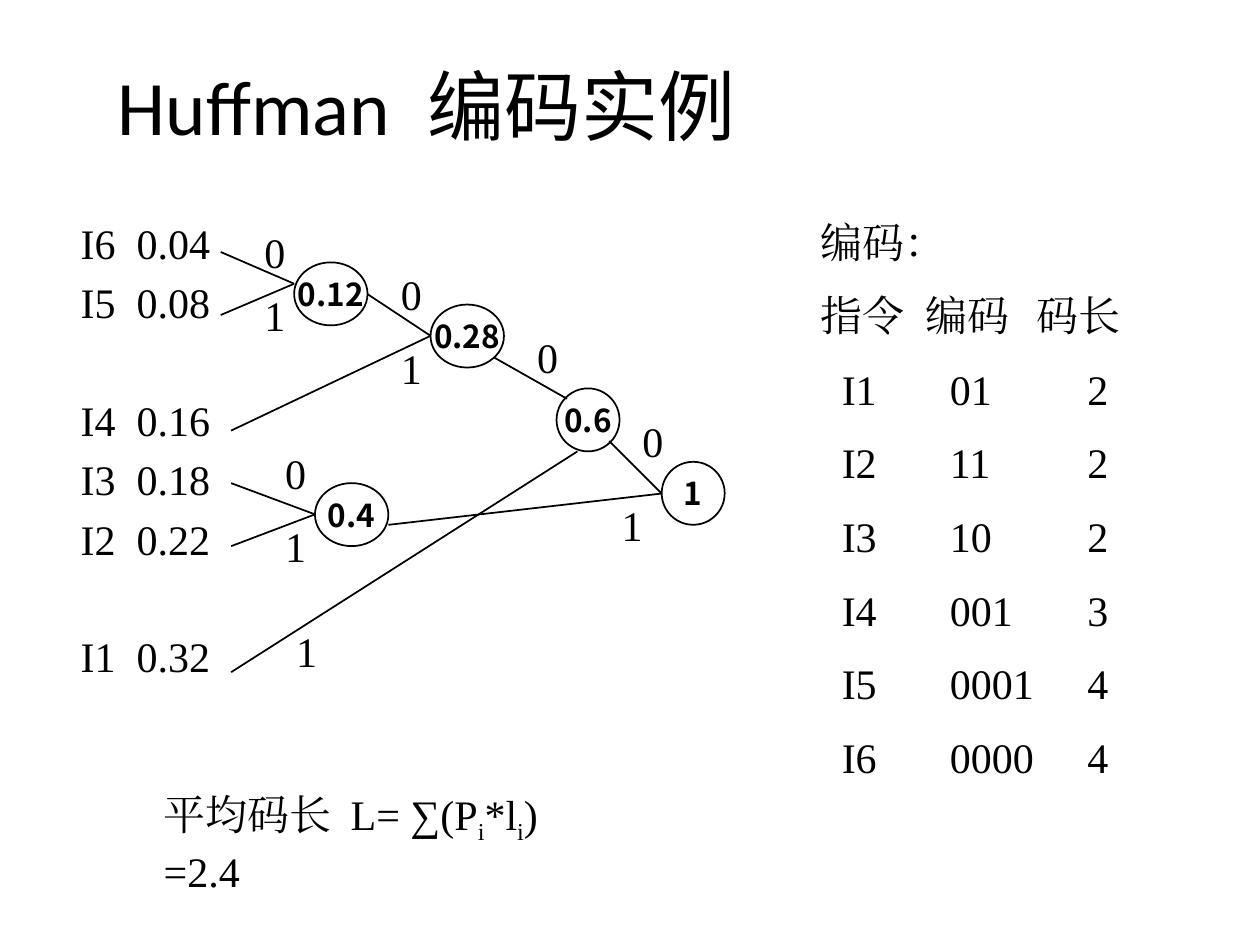
from lxml import etree
from pptx import Presentation
from pptx import util as u
from pptx.dml import color
from pptx.enum import shapes, text
from pptx.oxml import ns

INK = "000000"
SERIF = "Times New Roman"


def rgb(value):
    return color.RGBColor.from_string(value)


def write(paragraph, content, size=24, font=SERIF, bold=False, align=text.PP_ALIGN.LEFT,
          before=0, tabs=(), baseline=None):
    paragraph.alignment = align
    paragraph.space_before = u.Pt(before)
    if tabs:
        stops = etree.SubElement(paragraph._p.get_or_add_pPr(), ns.qn("a:tabLst"))
        for stop in tabs:
            etree.SubElement(stops, ns.qn("a:tab"), pos=str(u.Cm(stop)), algn="l")
    run = paragraph.add_run()
    run.text = content
    run.font.size = u.Pt(size)
    run.font.bold = bold
    run.font.color.rgb = rgb(INK)
    run.font.name = font
    properties = run._r.get_or_add_rPr()
    etree.SubElement(properties, ns.qn("a:ea"), typeface=font)
    if baseline:
        properties.set("baseline", str(baseline))


deck = Presentation()
deck.slide_width, deck.slide_height = u.Cm(25.4), u.Cm(19.05)
slide = deck.slides.add_slide(deck.slide_layouts[1])

title = slide.shapes.title
title.left, title.top, title.width, title.height = u.Cm(2.12), u.Cm(0.64), u.Cm(22.45), u.Cm(3.18)
title.text_frame.vertical_anchor = text.MSO_ANCHOR.MIDDLE
title.text_frame.auto_size = text.MSO_AUTO_SIZE.NONE
title.text_frame.paragraphs[0].line_spacing = 0.9
write(title.text_frame.paragraphs[0], "Huffman\t编码实例", size=44, font="Calibri", tabs=[6.25])

probabilities = slide.placeholders[1]
probabilities.left, probabilities.top = u.Cm(1.37), u.Cm(4.45)
probabilities.width, probabilities.height = u.Cm(3.48), u.Cm(9.95)
probabilities.text_frame.auto_size = text.MSO_AUTO_SIZE.NONE
leaves = [("I6", "0.04", 0), ("I5", "0.08", 11), ("I4", "0.16", 44),
          ("I3", "0.18", 11), ("I2", "0.22", 11), ("I1", "0.32", 44)]
for index, (name, probability, gap) in enumerate(leaves):
    frame = probabilities.text_frame
    leaf = frame.add_paragraph() if index else frame.paragraphs[0]
    leaf.line_spacing = 0.8
    layout = leaf._p.get_or_add_pPr()
    layout.set("marL", str(u.Cm(1.13)))
    layout.set("indent", str(u.Cm(-1.13)))
    etree.SubElement(layout, ns.qn("a:buNone"))
    write(leaf, f"{name}\t{probability}", before=gap)

branches = [
    (4.66, 8.68, 8.68, 6.77), (4.66, 13.55, 11.64, 9.1), (9.95, 7.2, 11.43, 8.04),
    (4.66, 9.74, 6.35, 10.37), (4.66, 11.01, 6.35, 10.37), (4.45, 5.08, 5.93, 5.72),
    (4.45, 6.35, 5.93, 5.72), (7.41, 5.93, 8.68, 6.77), (12.28, 8.89, 13.34, 9.95),
    (7.83, 10.58, 13.34, 9.95),
]
for ends in branches:
    branch = slide.shapes.add_connector(shapes.MSO_CONNECTOR.STRAIGHT, *map(u.Cm, ends))
    branch.line.color.rgb = rgb(INK)
    branch.line.width = u.Pt(1)
    etree.SubElement(branch._element.spPr, ns.qn("a:effectLst"))

bits = [
    ("0", 5.08, 4.45), ("0", 7.83, 5.29), ("0", 12.7, 8.26), ("0", 10.58, 6.56),
    ("0", 5.5, 8.89), ("1", 5.08, 5.72), ("1", 7.83, 6.77), ("1", 5.5, 10.37),
    ("1", 12.28, 9.95), ("1", 5.72, 12.49),
]
for bit, left, top in bits:
    label = slide.shapes.add_textbox(u.Cm(left), u.Cm(top), u.Cm(1.06), u.Cm(1.27))
    label.text_frame.word_wrap = True
    write(label.text_frame.paragraphs[0], bit)

nodes = [("0.12", 5.93, 5.29, 1.48), ("0.4", 6.35, 9.74, 1.48), ("0.28", 8.68, 6.14, 1.48),
         ("1", 13.34, 9.31, 1.27), ("0.6", 11.22, 7.83, 1.27)]
for weight, left, top, width in nodes:
    node = slide.shapes.add_shape(shapes.MSO_SHAPE.OVAL, u.Cm(left), u.Cm(top), u.Cm(width), u.Cm(1.27))
    node.shadow.inherit = False
    node.fill.background()
    node.line.color.rgb = rgb(INK)
    node.line.width = u.Pt(1)
    node.text_frame.word_wrap = False
    node.text_frame.vertical_anchor = text.MSO_ANCHOR.MIDDLE
    write(node.text_frame.paragraphs[0], weight, size=18, font="Noto Sans CJK SC", bold=True,
          align=text.PP_ALIGN.CENTER)

codes = slide.shapes.add_textbox(u.Cm(16.3), u.Cm(4.23), u.Cm(8.26), u.Cm(12.07))
codes.text_frame.word_wrap = True
write(codes.text_frame.paragraphs[0], "编码：")
write(codes.text_frame.add_paragraph(), "指令\t编码\t码长", before=13.3, tabs=[2.1, 4.35])
for number, code in enumerate(["01", "11", "10", "001", "0001", "0000"], 1):
    write(codes.text_frame.add_paragraph(), f"\tI{number}\t{code}\t{len(code)}", before=13.3,
          tabs=[0.42, 2.6, 5.37])

average = slide.shapes.add_textbox(u.Cm(3.05), u.Cm(15.77), u.Cm(9.75), u.Cm(1.27))
average.text_frame.word_wrap = True
formula = average.text_frame.paragraphs[0]
write(formula, "平均码长\tL= ∑(P", tabs=[3.77])
for piece, shift in [("i", -25000), ("*l", None), ("i", -25000), (")", None)]:
    write(formula, piece, baseline=shift)
formula.add_line_break()
write(formula, "=2.4")

deck.save("out.pptx")
